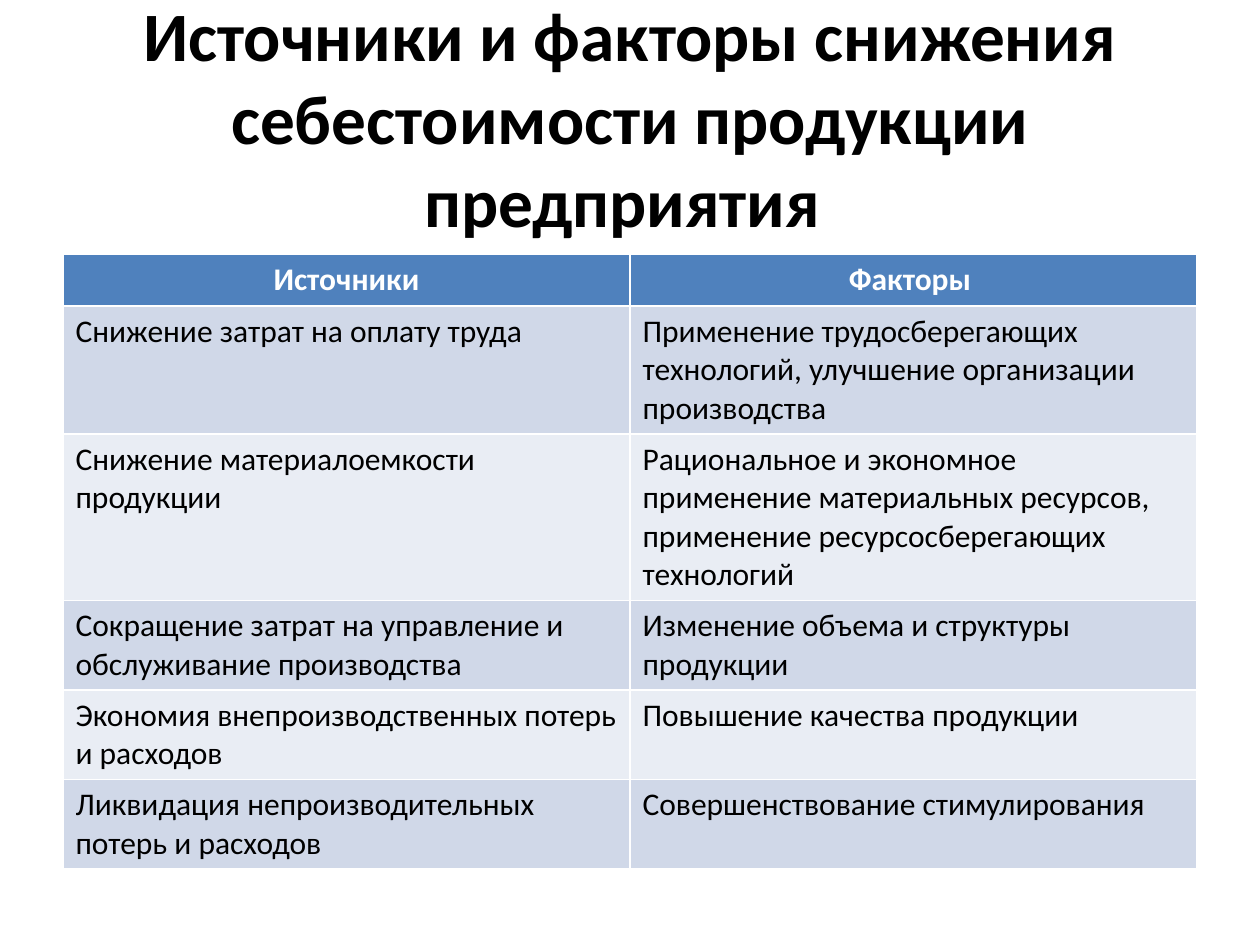
from pptx import Presentation
from pptx import util as u
from pptx.dml.color import RGBColor
from pptx.enum import text

FONT = "Calibri"
COLORS = {
    "black": "000000",
    "white": "FFFFFF",
    "header": "4F81BD",
    "odd_row": "D0D8E8",
    "even_row": "E9EDF4",
}
TITLE = "Источники и факторы снижения себестоимости продукции предприятия "
ROWS = [
    ("Источники", "Факторы "),
    ("Снижение затрат на оплату труда ",
     "Применение трудосберегающих технологий, улучшение организации производства \t"),
    ("Снижение материалоемкости продукции ",
     "Рациональное и экономное применение материальных ресурсов, "
     "применение ресурсосберегающих технологий \t"),
    ("Сокращение затрат на управление и обслуживание производства ",
     "Изменение объема и структуры продукции "),
    ("Экономия внепроизводственных потерь и расходов ",
     "Повышение качества продукции "),
    ("Ликвидация непроизводительных потерь и расходов ",
     "Совершенствование стимулирования "),
]


def write_text(frame, content, size=18, color="black", bold=False,
               align=text.PP_ALIGN.LEFT):
    """Write one formatted paragraph into a text frame."""
    paragraph = frame.paragraphs[0]
    paragraph.alignment = align
    run = paragraph.add_run()
    run.text = content
    run.font.name = FONT
    run.font.size = u.Pt(size)
    run.font.bold = bold
    run.font.color.rgb = RGBColor.from_string(COLORS[color])


def add_title(slide):
    """Place and format the title placeholder."""
    title = slide.shapes.title
    title.left, title.top = u.Inches(0.5), u.Inches(0.3)
    title.width, title.height = u.Inches(9), u.Inches(1.25)
    frame = title.text_frame
    frame.word_wrap = True
    frame.auto_size = text.MSO_AUTO_SIZE.NONE
    frame.vertical_anchor = text.MSO_ANCHOR.MIDDLE
    write_text(frame, TITLE, size=39.6, bold=True, align=text.PP_ALIGN.CENTER)


def fill_cell(cell, content, row_index):
    """Fill a table cell according to its row."""
    is_header = row_index == 0
    band = "odd_row" if row_index % 2 else "even_row"
    cell.fill.solid()
    cell.fill.fore_color.rgb = RGBColor.from_string(
        COLORS["header" if is_header else band])
    write_text(cell.text_frame, content, bold=is_header,
               color="white" if is_header else "black",
               align=text.PP_ALIGN.CENTER if is_header else text.PP_ALIGN.LEFT)


def add_factor_table(slide):
    """Add the table of sources and factors."""
    row_height = u.Inches(0.41)
    table = slide.shapes.add_table(
        len(ROWS), len(ROWS[0]), u.Inches(0.5), u.Inches(2.02),
        u.Inches(9), row_height * len(ROWS)).table
    for row_index, row in enumerate(ROWS):
        for column_index, content in enumerate(row):
            fill_cell(table.cell(row_index, column_index), content, row_index)


def main():
    """Build and save the slide."""
    presentation = Presentation()
    presentation.slide_width = u.Inches(10)
    presentation.slide_height = u.Inches(7.5)
    slide = presentation.slides.add_slide(presentation.slide_layouts[5])
    add_title(slide)
    add_factor_table(slide)
    presentation.save("out.pptx")


main()
